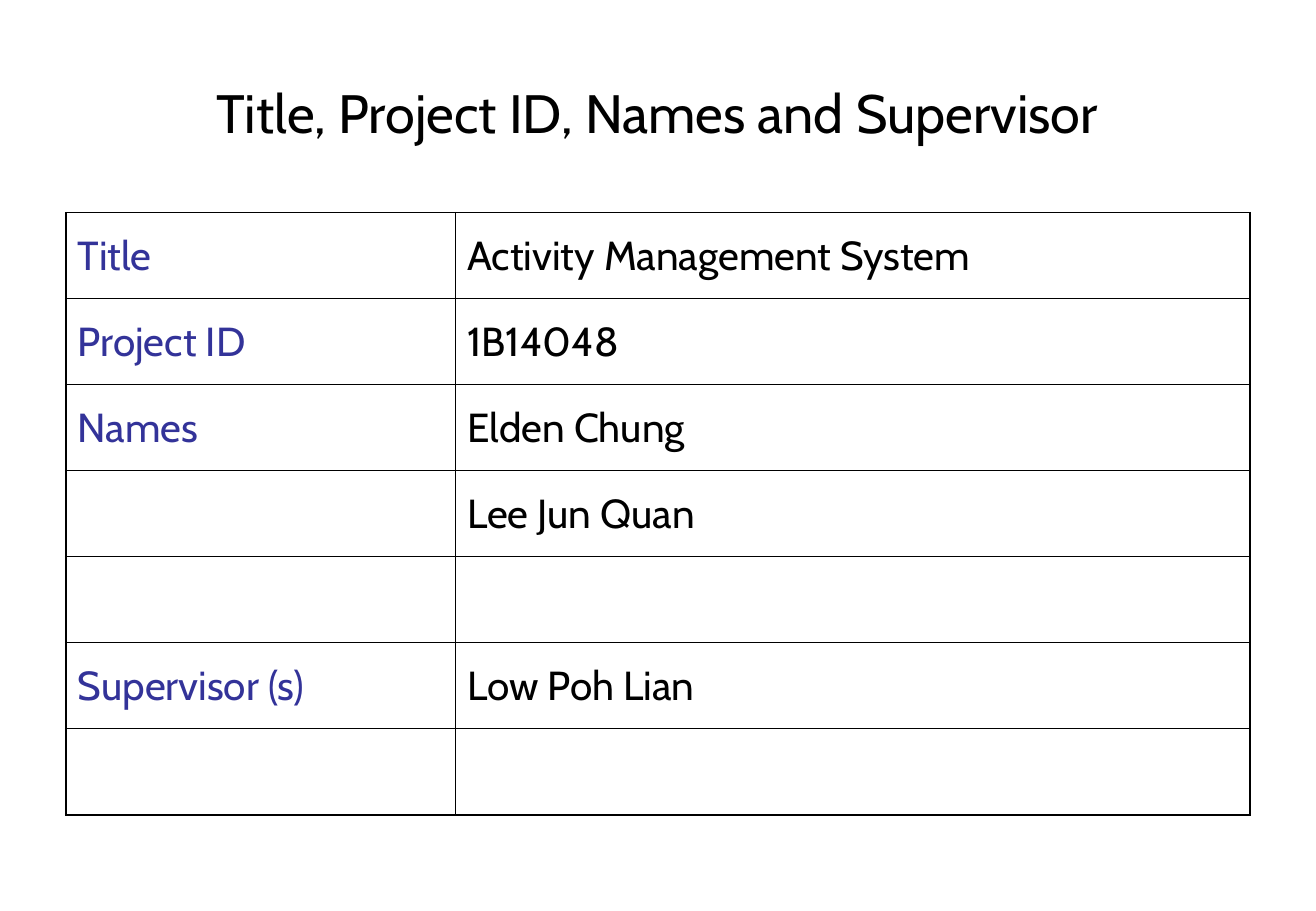
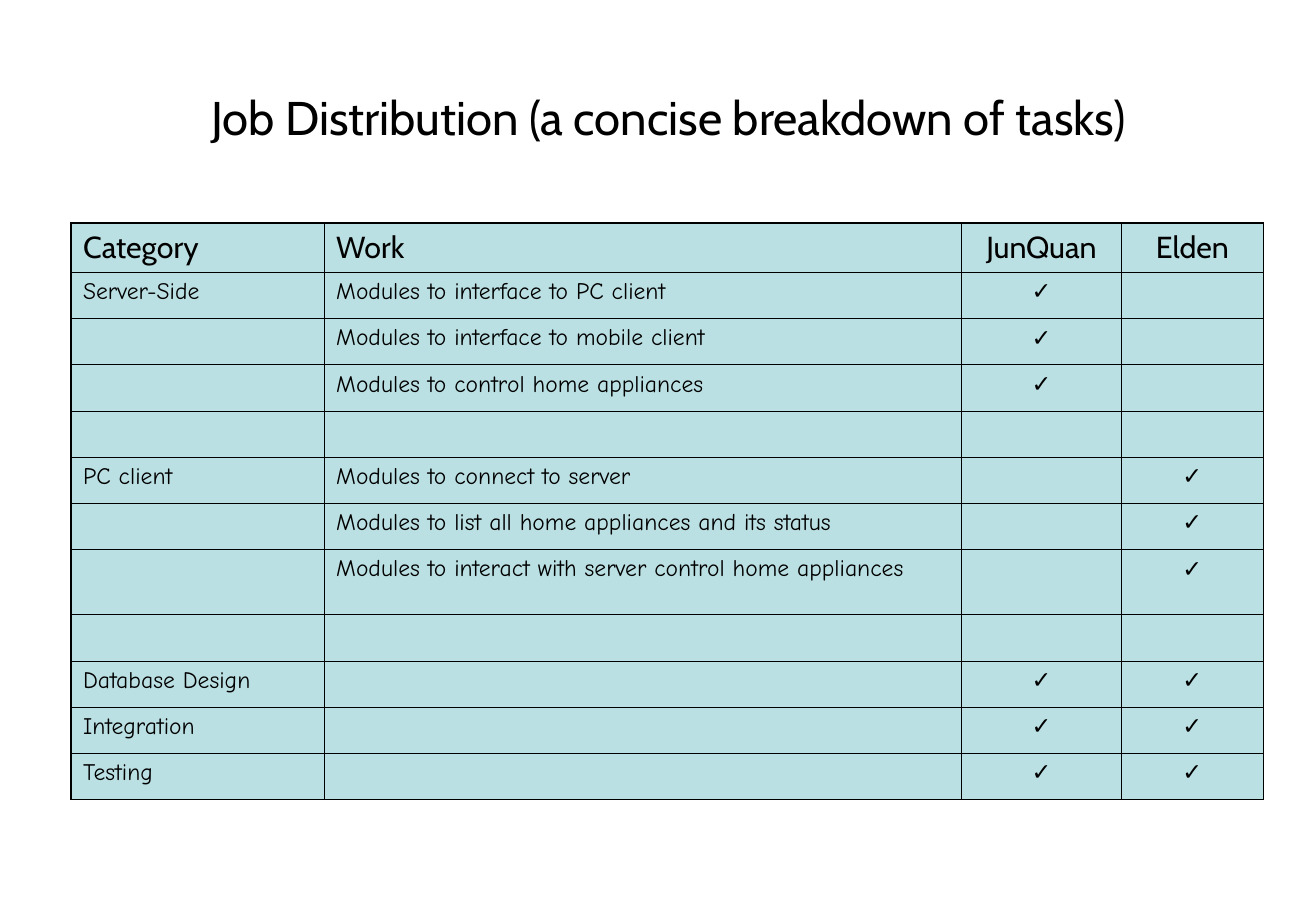
import dataclasses
import typing

import lxml.etree
import pptx
import pptx.dml.color
import pptx.enum.text
import pptx.oxml.ns
import pptx.util

Pt = pptx.util.Pt
Align = pptx.enum.text.PP_ALIGN
Anchor = pptx.enum.text.MSO_ANCHOR

# Shared look
PAGE_WIDTH, PAGE_HEIGHT = 780.48, 540
BLACK, INDIGO, AQUA = "000000", "333399", "BBE0E3"
THIN, THICK = 0.45, 1.08
CHECK = "✓"


@dataclasses.dataclass(frozen=True)
class TextStyle:
    size: float
    name: str = "Cabin"
    colour: str = BLACK
    alignment: Align = Align.LEFT
    anchor: Anchor = Anchor.MIDDLE


@dataclasses.dataclass(frozen=True)
class Title:
    text: str
    left: float
    top: float
    width: float
    height: float
    size: float


@dataclasses.dataclass(frozen=True)
class Grid:
    left: float
    top: float
    columns: list[float]
    heights: list[float]
    rows: list[tuple[str, ...]]
    style_of: typing.Callable[[int, int, str], TextStyle]
    fill: str | None = None
    right_edge: float = THIN


def rgb(colour: str) -> pptx.dml.color.RGBColor:
    return pptx.dml.color.RGBColor.from_string(colour)


def write(para, text: str, style: TextStyle) -> None:
    para.alignment = style.alignment
    if not text:
        # An empty cell keeps the text size, so its row does not grow
        end = lxml.etree.SubElement(para._p, pptx.oxml.ns.qn("a:endParaRPr"))
        end.set("sz", str(int(style.size * 100)))
        return
    span = para.add_run()
    span.text = text
    for key, value in {"size": Pt(style.size), "name": style.name}.items():
        setattr(span.font, key, value)
    span.font.color.rgb = rgb(style.colour)


def add_title(page, title: Title) -> None:
    box = page.shapes.add_textbox(*map(Pt, (title.left, title.top, title.width, title.height)))
    frame = box.text_frame
    for key, value in {"word_wrap": True, "vertical_anchor": Anchor.MIDDLE}.items():
        setattr(frame, key, value)
    write(frame.paragraphs[0], title.text, TextStyle(title.size, alignment=Align.CENTER))


def add_borders(cell, widths: dict[str, float]) -> None:
    properties = cell._tc.get_or_add_tcPr()
    for side, width in widths.items():
        line = lxml.etree.SubElement(properties, pptx.oxml.ns.qn(f"a:ln{side}"))
        line.set("w", str(int(Pt(width))))
        solid = lxml.etree.SubElement(line, pptx.oxml.ns.qn("a:solidFill"))
        lxml.etree.SubElement(solid, pptx.oxml.ns.qn("a:srgbClr")).set("val", BLACK)


def add_grid(page, grid: Grid) -> None:
    last_row, last_column = len(grid.rows) - 1, len(grid.columns) - 1
    table = page.shapes.add_table(
        len(grid.rows), len(grid.columns),
        *map(Pt, (grid.left, grid.top, sum(grid.columns), sum(grid.heights))),
    ).table
    table.first_row = table.horz_banding = False
    for column, width in zip(table.columns, grid.columns):
        column.width = Pt(width)
    for row, height in zip(table.rows, grid.heights):
        row.height = Pt(height)

    for i, texts in enumerate(grid.rows):
        for j, text in enumerate(texts):
            cell = table.cell(i, j)
            style = grid.style_of(i, j, text)
            cell.vertical_anchor = style.anchor
            write(cell.text_frame.paragraphs[0], text, style)
            add_borders(cell, {
                "L": THICK if j == 0 else THIN,
                "R": grid.right_edge if j == last_column else THIN,
                "T": THICK if i == 0 else THIN,
                "B": THICK if i == last_row else THIN,
            })
            if grid.fill:
                cell.fill.solid()
                cell.fill.fore_color.rgb = rgb(grid.fill)
            else:
                cell.fill.background()


def project_style(row: int, column: int, text: str) -> TextStyle:
    return TextStyle(24, colour=BLACK if column else INDIGO)


def job_style(row: int, column: int, text: str) -> TextStyle:
    alignment = Align.CENTER if column > 1 else Align.LEFT
    if row == 0:
        return TextStyle(18, alignment=alignment)
    name = "Arial" if text == CHECK else "Comic Neue"
    return TextStyle(14, name, alignment=alignment, anchor=Anchor.TOP)


# Slide contents
PROJECT_ROWS = [
    ("Title", "Activity Management System"),
    ("Project ID", "1B14048"),
    ("Names", "Elden Chung"),
    ("", "Lee Jun Quan"),
    ("", ""),
    ("Supervisor (s)", "Low Poh Lian"),
    ("", ""),
]
JOB_ROWS = [
    ("Category", "Work", "JunQuan", "Elden"),
    ("Server-Side", "Modules to interface to PC client", CHECK, ""),
    ("", "Modules to interface to mobile client", CHECK, ""),
    ("", "Modules to control home appliances", CHECK, ""),
    ("", "", "", ""),
    ("PC client", "Modules to connect to server", "", CHECK),
    ("", "Modules to list all home appliances and its status", "", CHECK),
    ("", "Modules to interact with server control home appliances", "", CHECK),
    ("", "", "", ""),
    ("Database Design", "", CHECK, CHECK),
    ("Integration", "", CHECK, CHECK),
    ("Testing", "", CHECK, CHECK),
]
JOB_HEIGHTS = [29.2] + [27.4] * 6 + [38.6] + [27.4] * 4

PAGES = [
    (
        Title("Title, Project ID, Names and Supervisor", 39.1, 21.6, 702, 90, 32),
        Grid(39, 126, [231, 471.3], [51] * len(PROJECT_ROWS), PROJECT_ROWS,
             project_style, right_edge=THICK),
    ),
    (
        Title("Job Distribution (a concise breakdown of tasks)", 36.2, 48, 720, 42, 28),
        Grid(42.1, 132.3, [150.1, 378, 95, 84], JOB_HEIGHTS, JOB_ROWS, job_style, AQUA),
    ),
]


def main() -> None:
    deck = pptx.Presentation()
    deck.slide_width, deck.slide_height = Pt(PAGE_WIDTH), Pt(PAGE_HEIGHT)
    for title, grid in PAGES:
        page = deck.slides.add_slide(deck.slide_layouts[6])
        add_title(page, title)
        add_grid(page, grid)
    deck.save("out.pptx")


if __name__ == "__main__":
    main()
